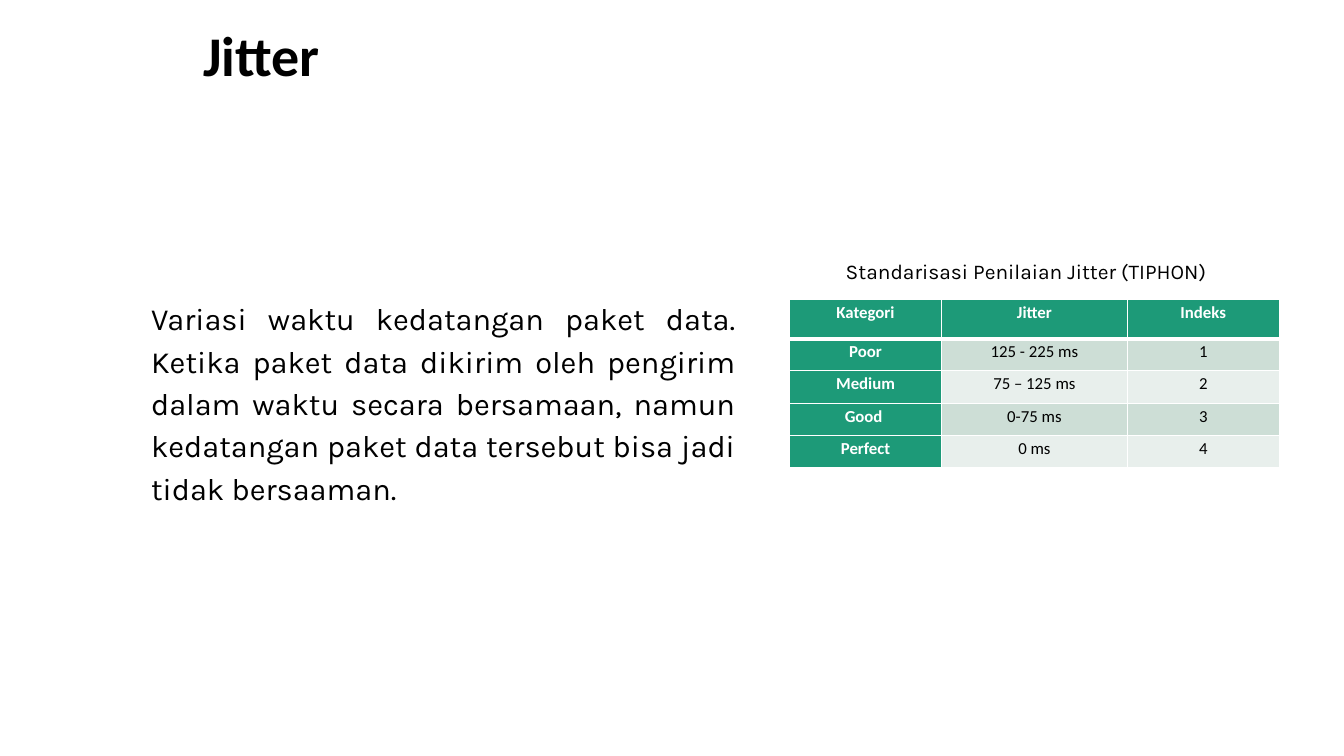
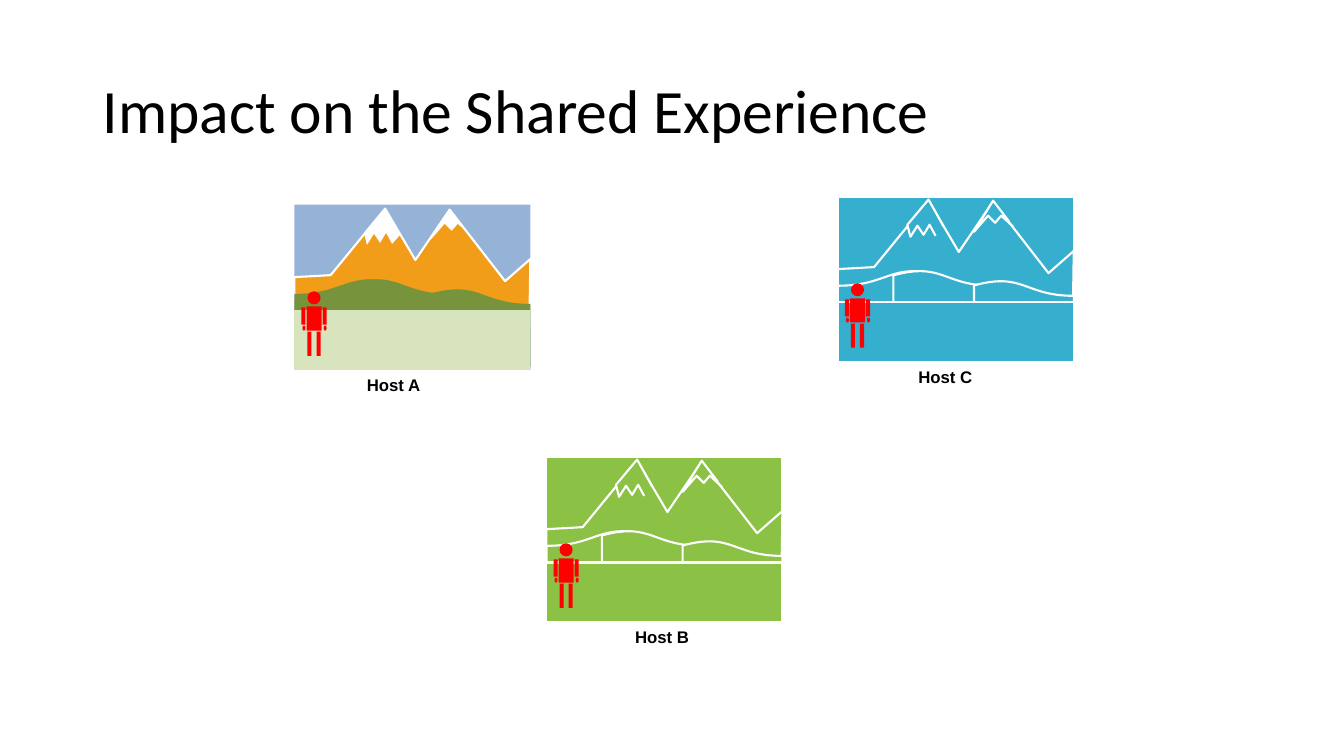
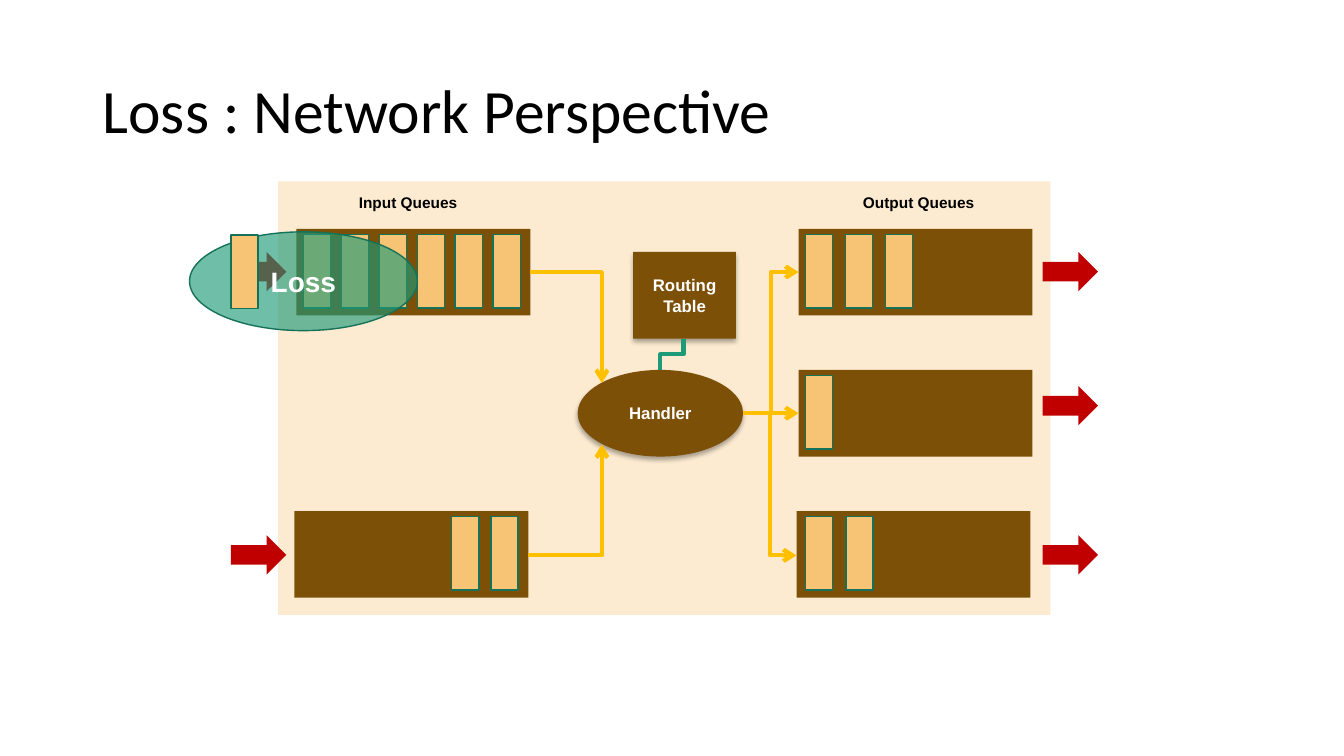
from pptx import Presentation
from pptx.dml.color import RGBColor
from pptx.enum.shapes import MSO_CONNECTOR, MSO_SHAPE
from pptx.enum.text import MSO_ANCHOR, MSO_AUTO_SIZE, PP_ALIGN
from pptx.oxml.ns import qn
from pptx.util import Inches, Pt
from lxml.etree import SubElement

COLORS = {
    "black": "000000", "white": "FFFFFF", "green": "1D9A78", "dark_green": "157259",
    "band_dark": "CDDED6", "band_light": "E8EFEC", "person": "FF0000",
    "sky": "95B3D7", "rock": "F19D19", "hill": "77933C", "meadow": "D7E4BD",
    "lime": "8BC145", "blue": "36AFCE", "panel": "FCEBD1", "brown": "7D5008",
    "packet": "F7C475", "flow": "FFC000", "arrow": "C00000",
}

RIDGE = [(0.36, 0.7), (0.9, 0.04), (1.2, 0.55), (1.54, 0.05), (2.09, 0.76), (2.34, 0.54),
         (2.33, 1.24), (0.37, 1.24), (0.08, 1.14), (0, 0.9), (0, 0.72)]
LEFT_SNOW = [(0.97, 0.39), (0.91, 0.28), (0.85, 0.38), (0.79, 0.29), (0.72, 0.4),
             (0.69, 0.28), (0.9, 0.03), (1.05, 0.3)]
RIGHT_SNOW = [(1.7, 0.25), (1.54, 0.04), (1.35, 0.35), (1.49, 0.19), (1.56, 0.26),
              (1.62, 0.19), (1.74, 0.3)]
HILLS = [(0, 0.73, 1.03, False), (0.55, 0.73, 0.99, True), (1.35, 0.83, 0.99, True)]


def rgb(name):
    """Return the named colour."""
    return RGBColor.from_string(COLORS[name])


def box_of(x, y, w, h):
    """Return a box in inches as lengths."""
    return Inches(x), Inches(y), Inches(w), Inches(h)


def add_run(p, text, size, font, color="black", bold=False):
    """Add one styled run to a paragraph."""
    r = p.add_run()
    r.text = text
    r.font.size, r.font.name, r.font.bold = Pt(size), font, bold
    r.font.color.rgb = rgb(color)


def add_text(s, box, text, size, font, bold=False, wrap=True, align=PP_ALIGN.LEFT,
             spacing=1.0, anchor=MSO_ANCHOR.TOP, indent=0):
    """Add a text box with one paragraph."""
    tf = s.shapes.add_textbox(*box_of(*box)).text_frame
    tf.word_wrap = wrap
    tf.auto_size = MSO_AUTO_SIZE.NONE if anchor == MSO_ANCHOR.MIDDLE else MSO_AUTO_SIZE.SHAPE_TO_FIT_TEXT
    tf.vertical_anchor = anchor
    p = tf.paragraphs[0]
    p.alignment, p.line_spacing = align, spacing
    if indent:
        p._p.get_or_add_pPr().set("marL", str(Inches(indent)))
    add_run(p, text, size, font, bold=bold)


def add_title(s, text):
    """Add the large slide title."""
    add_text(s, (0.92, 0.4, 11.5, 1.45), text, 44, "Calibri", spacing=0.9,
             anchor=MSO_ANCHOR.MIDDLE)


def paint(sp, fill, line=None, weight=1.0):
    """Set the fill and outline of a shape and drop its shadow."""
    sp.shadow.inherit = False
    sp.fill.solid()
    sp.fill.fore_color.rgb = rgb(fill)
    if line:
        sp.line.color.rgb = rgb(line)
        sp.line.width = Pt(weight)
    else:
        sp.line.fill.background()


def add_shape(parent, kind, box, fill, line=None, weight=1.0):
    """Add a painted preset shape."""
    sp = parent.shapes.add_shape(kind, *box_of(*box))
    paint(sp, fill, line, weight)
    return sp


def add_label(sp, text, size):
    """Write a centred white label in a shape."""
    tf = sp.text_frame
    tf.vertical_anchor = MSO_ANCHOR.MIDDLE
    p = tf.paragraphs[0]
    p.alignment = PP_ALIGN.CENTER
    add_run(p, text, size, "Arial", "white", True)


def set_alpha(color, percent):
    """Append an opacity to a colour element."""
    SubElement(color, qn("a:alpha")).set("val", str(percent * 1000))


def add_shadow(sp):
    """Give a shape a soft shadow below it."""
    effects = sp._element.spPr.find(qn("a:effectLst"))
    shadow = SubElement(effects, qn("a:outerShdw"), blurRad=str(Pt(3.5)), dist=str(Pt(2.2)),
                        dir="5400000", algn="ctr", rotWithShape="0")
    set_alpha(SubElement(shadow, qn("a:srgbClr"), val=COLORS["black"]), 32)


def add_link(s, start, end, color="flow", preset="bentConnector3", arrow=True, turn=0):
    """Add a connector between two points."""
    kind = MSO_CONNECTOR.STRAIGHT if preset == "line" else MSO_CONNECTOR.ELBOW
    link = s.shapes.add_connector(kind, *box_of(*start, *end))
    link.line.color.rgb = rgb(color)
    link.line.width = Pt(3)
    spPr = link._element.spPr
    spPr.find(qn("a:prstGeom")).set("prst", preset)
    if turn:
        spPr.find(qn("a:xfrm")).set("rot", str(turn * 60000))
    if arrow:
        SubElement(spPr.find(qn("a:ln")), qn("a:tailEnd"), type="arrow")
    SubElement(spPr, qn("a:effectLst"))


def fill_cell(cell, text, fill, head, bottom):
    """Fill a table cell and draw its borders."""
    cell.margin_left = cell.margin_right = Inches(0.07)
    cell.margin_top = cell.margin_bottom = 0
    p = cell.text_frame.paragraphs[0]
    p.alignment, p.line_spacing = PP_ALIGN.CENTER, 1.15
    add_run(p, text, 12, "Calibri", "white" if head else "black", head)
    tcPr = cell._tc.get_or_add_tcPr()
    for side, weight in zip("LRTB", (1, 1, 1, bottom)):
        ln = SubElement(tcPr, qn(f"a:ln{side}"), w=str(Pt(weight)))
        SubElement(SubElement(ln, qn("a:solidFill")), qn("a:srgbClr"), val=COLORS["white"])
    cell.fill.solid()
    cell.fill.fore_color.rgb = rgb(fill)


def add_rating_table(s, x, y, rows):
    """Add the rating table with a green header row and first column."""
    widths = (1.51, 1.84, 1.51)
    heights = [0.39] + [0.32] * (len(rows) - 1)
    table = s.shapes.add_table(len(rows), len(widths),
                               *box_of(x, y, sum(widths), sum(heights))).table
    table.horz_banding = False
    for col, width in zip(table.columns, widths):
        col.width = Inches(width)
    for i, (row, height) in enumerate(zip(rows, heights)):
        table.rows[i].height = Inches(height)
        for j, text in enumerate(row):
            head = i == 0 or j == 0
            fill = "green" if head else "band_dark" if i % 2 else "band_light"
            fill_cell(table.cell(i, j), text, fill, head, 1 if i else 3)


def add_outline(grp, x, y, points, fill, line, close):
    """Add a freeform outline placed from a scene corner."""
    pts = [(Inches(x + dx), Inches(y + dy)) for dx, dy in points]
    builder = grp.shapes.build_freeform(*pts[0])
    builder.add_line_segments(pts[1:], close=close)
    paint(builder.convert_to_shape(), fill, line, 1.5)


def add_landscape(s, x, y, sky, rock, hill, meadow, snow, line):
    """Add the mountain landscape at a corner."""
    grp = s.shapes.add_group_shape()
    add_shape(grp, MSO_SHAPE.RECTANGLE, (x, y, 2.34, 1.64), sky, line, 1.5)
    add_outline(grp, x, y, RIDGE, rock, "white", True)
    for dx, dy, w, flip in HILLS:
        sp = add_shape(grp, MSO_SHAPE.FLOWCHART_DOCUMENT, (x + dx, y + dy, w, 0.78),
                       hill, line, 1.5)
        sp.rotation = 180
        if flip:
            sp._element.spPr.find(qn("a:xfrm")).set("flipH", "1")
    add_shape(grp, MSO_SHAPE.FLOWCHART_PROCESS, (x, y + 1.05, 2.34, 0.59), meadow, line, 1.5)
    for points in (LEFT_SNOW, RIGHT_SNOW):
        add_outline(grp, x, y, points, snow, line, False)


def add_person(s, x, y):
    """Add the red figure at a corner."""
    grp = s.shapes.add_group_shape()
    add_shape(grp, MSO_SHAPE.OVAL, (x + 0.06, y, 0.13, 0.13), "person")
    add_shape(grp, MSO_SHAPE.RECTANGLE, (x + 0.05, y + 0.15, 0.15, 0.24), "person")
    for leg in (0.06, 0.15):
        add_shape(grp, MSO_SHAPE.RECTANGLE, (x + leg, y + 0.4, 0.04, 0.24), "person")
    for arm in (0, 0.21):
        add_shape(grp, MSO_SHAPE.RECTANGLE, (x + arm, y + 0.16, 0.04, 0.17), "person")
        add_shape(grp, MSO_SHAPE.OVAL, (x + arm + 0.01, y + 0.34, 0.03, 0.05), "person")


def add_host(s, x, y, name, label_dx, palette):
    """Add a host: landscape, figure and name."""
    add_landscape(s, x, y, *palette)
    add_person(s, x + 0.07, y + 0.86)
    add_text(s, (x + label_dx, y + 1.64, 0.74, 0.3), name, 12, "Arial", True, wrap=False)


def add_packet(s, x, y):
    """Add one packet."""
    add_shape(s, MSO_SHAPE.RECTANGLE, (x, y, 0.27, 0.73), "packet", "dark_green")


def add_queue(s, x, y, first, step, count):
    """Add a queue holding evenly spaced packets."""
    add_shape(s, MSO_SHAPE.RECTANGLE, (x, y, 2.32, 0.86), "brown")
    for i in range(count):
        add_packet(s, x + first + i * step, y + 0.055)


def jitter_slide(s):
    """Build the jitter definition and its rating table."""
    add_text(s, (0.76, 0.15, 3.67, 0.77), "Jitter", 40, "Calibri", True, align=PP_ALIGN.CENTER)
    add_text(s, (1.1, 2.87, 6.29, 2.19),
             "Variasi waktu kedatangan paket data. Ketika paket data dikirim oleh pengirim "
             "dalam waktu secara bersamaan, namun kedatangan paket data tersebut bisa jadi "
             "tidak bersaaman. ", 22, "Karla", align=PP_ALIGN.JUSTIFY, spacing=1.15, indent=0.3)
    add_rating_table(s, 7.83, 2.97, [
        ("Kategori", "Jitter", "Indeks"),
        ("Poor", "125 - 225 ms", "1"),
        ("Medium", "75 – 125 ms", "2"),
        ("Good ", "0-75 ms", "3"),
        ("Perfect", "0 ms", "4"),
    ])
    add_text(s, (8.29, 2.52, 3.94, 0.35), "Standarisasi Penilaian Jitter (TIPHON)", 15, "Karla")


def experience_slide(s):
    """Build the three hosts and what each one sees."""
    add_title(s, "Impact on the Shared Experience")
    add_host(s, 5.42, 4.53, "Host B", 0.78, ["lime"] * 5 + ["white"])
    add_host(s, 2.92, 2.03, "Host A", 0.62, ["sky", "rock", "hill", "meadow", "white", None])
    add_host(s, 8.31, 1.95, "Host C", 0.7, ["blue"] * 5 + ["white"])


def loss_slide(s):
    """Build the router diagram with its overflowing queue."""
    add_shape(s, MSO_SHAPE.RECTANGLE, (2.76, 1.8, 7.66, 4.3), "panel")
    add_title(s, "Loss : Network Perspective")
    for kind, box, text in ((MSO_SHAPE.OVAL, (5.73, 3.67, 1.64, 0.86), "Handler"),
                            (MSO_SHAPE.RECTANGLE, (6.28, 2.5, 1.02, 0.86), "Routing Table")):
        sp = add_shape(s, kind, box, "brown")
        add_shadow(sp)
        add_label(sp, text, 12)
    for queue in ((2.94, 2.27, 0.07, 0.376, 6), (2.92, 5.07, 1.56, 0.39, 2),
                  (7.92, 2.27, 0.07, 0.395, 3), (7.92, 3.67, 0.07, 0.4, 1),
                  (7.9, 5.07, 0.09, 0.4, 2)):
        add_queue(s, *queue)
    add_link(s, (5.26, 2.7), (5.97, 3.8), preset="bentConnector2")
    add_link(s, (5.24, 5.51), (5.97, 4.41), preset="bentConnector2")
    add_link(s, (7.37, 4.1), (7.92, 4.1), preset="line")
    for end in ((7.92, 2.7), (7.9, 5.51)):
        add_link(s, (7.37, 4.1), end)
    add_link(s, (6.82, 3.63), (6.51, 3.4), "green", arrow=False, turn=90)
    for x, y in ((2.29, 2.5), (2.29, 5.31), (10.34, 2.5), (10.34, 3.83), (10.34, 5.31)):
        add_shape(s, MSO_SHAPE.RIGHT_ARROW, (x, y, 0.55, 0.39), "arrow")
    for x, w, text in ((3.46, 1.19, "Input Queues"), (8.46, 1.32, "Output Queues")):
        add_text(s, (x, 1.87, w, 0.29), text, 11, "Arial", True, wrap=False)
    loss = add_shape(s, MSO_SHAPE.OVAL, (1.88, 2.3, 2.26, 0.98), "green", "dark_green")
    set_alpha(loss._element.spPr.find(qn("a:solidFill"))[0], 64)
    add_label(loss, "Loss", 20)
    add_packet(s, 2.29, 2.33)


def main():
    """Build and save the presentation."""
    prs = Presentation()
    prs.slide_width, prs.slide_height = Inches(13.33), Inches(7.5)
    for build in (jitter_slide, experience_slide, loss_slide):
        build(prs.slides.add_slide(prs.slide_layouts[6]))
    prs.save("out.pptx")


if __name__ == "__main__":
    main()
